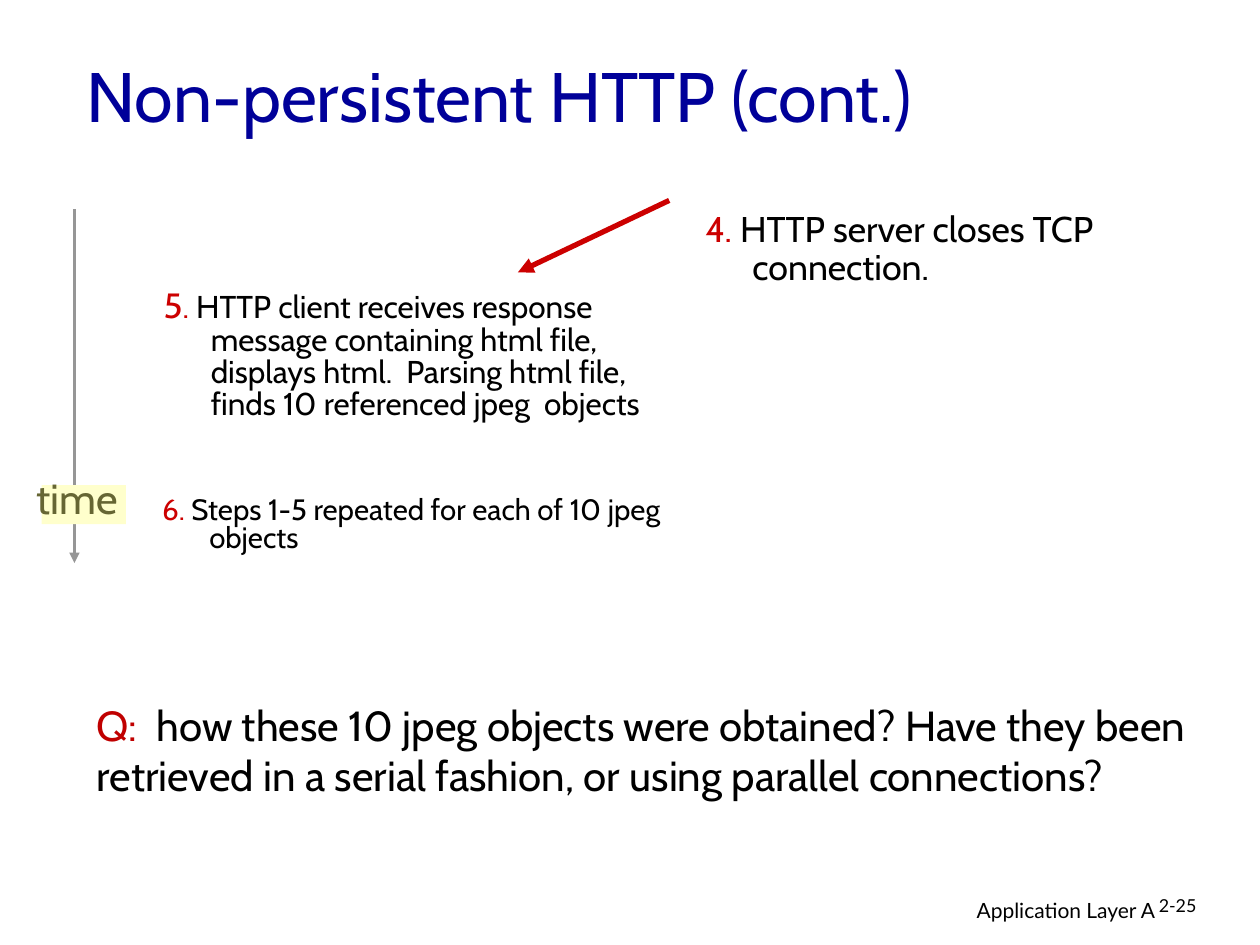
from dataclasses import dataclass

from lxml.etree import SubElement
from pptx import Presentation
from pptx.dml.color import RGBColor
from pptx.enum.shapes import MSO_CONNECTOR, MSO_SHAPE
from pptx.enum.text import MSO_ANCHOR, PP_ALIGN
from pptx.oxml.ns import qn
from pptx.slide import Slide
from pptx.util import Cm, Pt


@dataclass(frozen=True)
class Theme:
    heading_font: str = "Cabin"
    footer_font: str = "Lato"
    title_color: str = "000099"
    text_color: str = "000000"
    accent: str = "CC0000"
    question_color: str = "C00000"
    axis_color: str = "969696"
    label_fill: str = "FFFFCC"
    label_color: str = "666633"
    title_size: float = 40
    large_size: float = 24
    server_size: float = 20.4
    number_size: float = 20
    client_size: float = 18
    repeat_size: float = 16.8
    footer_size: float = 12
    page_number_size: float = 10.2


THEME = Theme()


@dataclass(frozen=True)
class Span:
    text: str
    size: float
    color: str = THEME.text_color
    font: str = THEME.heading_font


@dataclass(frozen=True)
class TextBlock:
    left: float
    top: float
    width: float
    height: float
    spans: tuple[Span, ...]
    align: PP_ALIGN = PP_ALIGN.LEFT
    anchor: MSO_ANCHOR = MSO_ANCHOR.TOP
    line_spacing: float = 1.0
    hanging: float = 0
    wrap: bool = True


@dataclass(frozen=True)
class Arrow:
    start: tuple[float, float]
    end: tuple[float, float]
    color: str
    weight: float


STEP_WIDTH = 10.59
HANGING = 0.95

FOOTERS = (
    TextBlock(15.49, 17.96, 8.05, 0.79,
              (Span("Application Layer A", THEME.footer_size, font=THEME.footer_font),),
              align=PP_ALIGN.RIGHT),
    TextBlock(23.11, 17.96, 1.88, 0.76,
              (Span("2-25", THEME.page_number_size, font=THEME.footer_font),),
              line_spacing=0.9),
)
TITLE = TextBlock(1.5, 0.71, 21.59, 2.41,
                  (Span("Non-persistent HTTP (cont.)", THEME.title_size, THEME.title_color),),
                  anchor=MSO_ANCHOR.MIDDLE)
STEPS = (
    TextBlock(3.05, 5.72, STEP_WIDTH, 4.27,
              (Span("5", THEME.number_size, THEME.accent),
               Span(".", THEME.client_size, THEME.accent),
               Span(" HTTP client receives response message containing html file, "
                    "displays html.  Parsing html file, finds 10 referenced jpeg  objects",
                    THEME.client_size)),
              line_spacing=0.85, hanging=HANGING),
    TextBlock(3.02, 9.91, STEP_WIDTH, 1.85,
              (Span("6.", THEME.repeat_size, THEME.accent),
               Span(" Steps 1-5 repeated for each of 10 jpeg objects", THEME.repeat_size)),
              line_spacing=0.8, hanging=HANGING),
    TextBlock(13.97, 4.14, STEP_WIDTH, 2.03,
              (Span("4.", THEME.server_size, THEME.accent),
               Span(" HTTP server closes TCP connection.", THEME.server_size)),
              line_spacing=0.9, hanging=HANGING),
)
TIME_AXIS = Arrow((1.5, 4.22), (1.5, 11.35), THEME.axis_color, 1.5)
TIME_LABEL = TextBlock(0.41, 9.4, 2.29, 1.27,
                       (Span("time", THEME.large_size, THEME.label_color),),
                       align=PP_ALIGN.CENTER, wrap=False)
RESPONSE = Arrow((13.49, 4.04), (10.44, 5.49), THEME.accent, 3)
QUESTION = TextBlock(1.7, 13.97, 22.63, 3.3,
                     (Span("Q:  ", THEME.large_size, THEME.question_color),
                      Span("how these 10 jpeg objects were obtained? Have they been retrieved "
                           "in a serial fashion, or using parallel connections?",
                           THEME.large_size)))


def draw_text(page: Slide, block: TextBlock) -> None:
    box = page.shapes.add_textbox(Cm(block.left), Cm(block.top), Cm(block.width), Cm(block.height))
    frame = box.text_frame
    frame.word_wrap = block.wrap
    frame.vertical_anchor = block.anchor
    paragraph = frame.paragraphs[0]
    paragraph.alignment = block.align
    paragraph.line_spacing = block.line_spacing
    if block.hanging:
        properties = paragraph._p.get_or_add_pPr()
        properties.set("marL", str(Cm(block.hanging)))
        properties.set("indent", str(-Cm(block.hanging)))
    for span in block.spans:
        run = paragraph.add_run()
        run.text = span.text
        run.font.name = span.font
        run.font.size = Pt(span.size)
        run.font.color.rgb = RGBColor.from_string(span.color)


def draw_arrow(page: Slide, arrow: Arrow) -> None:
    points = (Cm(value) for value in (*arrow.start, *arrow.end))
    connector = page.shapes.add_connector(MSO_CONNECTOR.STRAIGHT, *points)
    connector.line.color.rgb = RGBColor.from_string(arrow.color)
    connector.line.width = Pt(arrow.weight)
    SubElement(connector.line._get_or_add_ln(), qn("a:tailEnd"), type="triangle")
    SubElement(connector._element.spPr, qn("a:effectLst"))


def draw_label_background(page: Slide) -> None:
    background = page.shapes.add_shape(MSO_SHAPE.RECTANGLE, Cm(0.84), Cm(9.78), Cm(1.7), Cm(0.79))
    background.shadow.inherit = False
    background.fill.solid()
    background.fill.fore_color.rgb = RGBColor.from_string(THEME.label_fill)
    background.line.fill.background()


def main() -> None:
    deck = Presentation()
    deck.slide_width, deck.slide_height = Cm(25.4), Cm(19.05)
    page = deck.slides.add_slide(deck.slide_layouts[6])
    for block in (*FOOTERS, TITLE, *STEPS):
        draw_text(page, block)
    draw_arrow(page, TIME_AXIS)
    draw_label_background(page)
    draw_text(page, TIME_LABEL)
    draw_arrow(page, RESPONSE)
    draw_text(page, QUESTION)
    deck.save("out.pptx")


if __name__ == "__main__":
    main()
